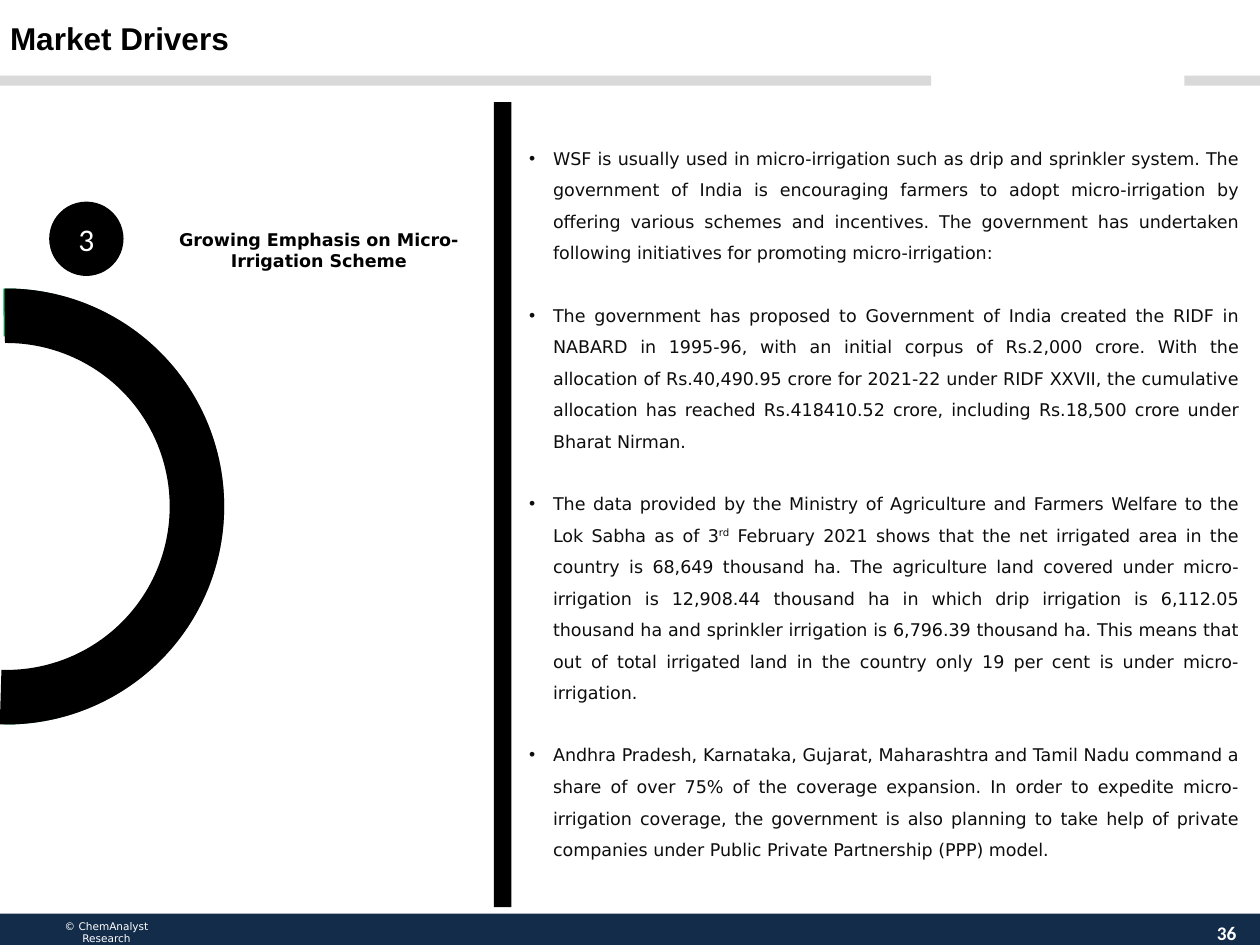
import pptx
import pptx.util
import pptx.dml.color
import pptx.enum.shapes
import pptx.enum.text
import lxml.etree

Shape = pptx.enum.shapes.MSO_SHAPE
Align = pptx.enum.text.PP_ALIGN
Anchor = pptx.enum.text.MSO_ANCHOR
BODY_FONT = "DejaVu Sans"
COLUMNS, ROWS = 100, 75

# Text between bars is raised
DRIVERS = [
    "WSF is usually used in micro-irrigation such as drip and sprinkler system. "
    "The government of India is encouraging farmers to adopt micro-irrigation by "
    "offering various schemes and incentives. The government has undertaken "
    "following initiatives for promoting micro-irrigation:",
    "The government has proposed to Government of India created the RIDF in "
    "NABARD in 1995-96, with an initial corpus of Rs.2,000 crore. With the "
    "allocation of Rs.40,490.95 crore for 2021-22 under RIDF XXVII, the "
    "cumulative allocation has reached Rs.418410.52 crore, including Rs.18,500 "
    "crore under Bharat Nirman.",
    "The data provided by the Ministry of Agriculture and Farmers Welfare to the "
    "Lok Sabha as of 3|rd| February 2021 shows that the net irrigated area in the "
    "country is 68,649 thousand ha. The agriculture land covered under "
    "micro-irrigation is 12,908.44 thousand ha in which drip irrigation is "
    "6,112.05 thousand ha and sprinkler irrigation is 6,796.39 thousand ha. This "
    "means that out of total irrigated land in the country only 19 per cent is "
    "under micro-irrigation.",
    "Andhra Pradesh, Karnataka, Gujarat, Maharashtra and Tamil Nadu command a "
    "share of over 75% of the coverage expansion. In order to expedite "
    "micro-irrigation coverage, the government is also planning to take help of "
    "private companies under Public Private Partnership (PPP) model.",
]


def color(value):
    return pptx.dml.color.RGBColor.from_string(value)


class SlideBuilder:
    """Places elements on a grid of 100 columns by 75 rows."""

    def __init__(self, presentation):
        self.column = presentation.slide_width / COLUMNS
        self.row = presentation.slide_height / ROWS
        self.slide = presentation.slides.add_slide(presentation.slide_layouts[5])

    def box(self, left, top, width, height):
        return (round(left * self.column), round(top * self.row),
                round(width * self.column), round(height * self.row))

    def style(self, paragraph, size, name, fill, bold=False, align=Align.CENTER):
        paragraph.alignment = align
        font = paragraph.font
        font.size, font.name, font.bold = pptx.util.Pt(size), name, bold
        font.color.rgb = color(fill)

    def set_text(self, shape, lines, inset=True, anchor=Anchor.MIDDLE, **style):
        frame = shape.text_frame
        frame.word_wrap = True
        frame.auto_size = pptx.enum.text.MSO_AUTO_SIZE.NONE
        frame.vertical_anchor = anchor
        if not inset:
            frame.margin_left = frame.margin_right = 0
            frame.margin_top = frame.margin_bottom = 0
        frame.text = "\n".join(lines)
        for paragraph in frame.paragraphs:
            self.style(paragraph, **style)

    def title(self, text, box, **style):
        shape = self.slide.shapes.title
        shape.left, shape.top, shape.width, shape.height = self.box(*box)
        self.set_text(shape, [text], inset=False, anchor=Anchor.TOP,
                      align=Align.LEFT, **style)

    def text(self, lines, box, **style):
        shape = self.slide.shapes.add_textbox(*self.box(*box))
        self.set_text(shape, lines, **style)
        return shape

    def shape(self, kind, box, fill, adjustments=()):
        shape = self.slide.shapes.add_shape(kind, *self.box(*box))
        shape.shadow.inherit = False
        shape.fill.solid()
        shape.fill.fore_color.rgb = color(fill)
        shape.line.fill.background()
        for index, value in enumerate(adjustments):
            shape.adjustments[index] = value
        return shape

    def bullets(self, items, box, size, name, fill):
        frame = self.text([], box, inset=False, anchor=Anchor.TOP,
                          size=size, name=name, fill=fill).text_frame
        indent = round(1.9 * self.column)
        for index, item in enumerate(items):
            paragraph = frame.add_paragraph() if index else frame.paragraphs[0]
            paragraph.line_spacing = 1.5
            if index:
                paragraph.space_before = pptx.util.Pt(17.5)
            properties = paragraph._p.get_or_add_pPr()
            properties.set("marL", str(indent))
            properties.set("indent", str(-indent))
            namespace = properties.nsmap["a"]
            for old in properties.findall(f"{{{namespace}}}defRPr"):
                properties.remove(old)
            bullet_font = lxml.etree.SubElement(properties, f"{{{namespace}}}buFont")
            bullet_font.set("typeface", "Arial")
            bullet = lxml.etree.SubElement(properties, f"{{{namespace}}}buChar")
            bullet.set("char", "•")
            for part, content in enumerate(item.split("|")):
                run = paragraph.add_run()
                run.text = content
                if part % 2:
                    run._r.get_or_add_rPr().set("baseline", "30000")
            self.style(paragraph, size, name, fill, align=Align.JUSTIFY)


def main():
    presentation = pptx.Presentation()
    presentation.slide_width = pptx.util.Inches(10)
    presentation.slide_height = pptx.util.Inches(7.5)
    builder = SlideBuilder(presentation)

    # Header rules and footer band
    for left, width in ((0, 73.9), (94, 6)):
        builder.shape(Shape.RECTANGLE, (left, 6, width, 0.8), "D9D9D9")
    builder.shape(Shape.RECTANGLE, (0, 72.5, 100, 2.5), "132C4A")
    builder.text(["© ChemAnalyst", "Research"], (5, 73, 6.9, 2.3), inset=False,
                 anchor=Anchor.TOP, size=6, name=BODY_FONT, fill="FFFFFF")

    # Title and drivers
    builder.title("Market Drivers", (0.8, 1.5, 86, 5),
                  size=18, name="Arial", fill="000000", bold=True)
    builder.bullets(DRIVERS, (42, 10.9, 56.3, 62), 10, BODY_FONT, "0D0D0D")

    # Layered half ring
    for left, fill, end, thickness in ((-16.8, "808080", 54.54, 0.12),
                                       (-16.9, "00B050", 54, 0.11),
                                       (-16.8, "000000", 55.01, 1 / 8)):
        builder.shape(Shape.BLOCK_ARC, (left, 22.9, 34.6, 34.6), fill,
                      (161.74, end, thickness))

    # Numbered heading
    builder.text(["Growing Emphasis on Micro-Irrigation Scheme"],
                 (10.1, 16.8, 30.4, 6.1),
                 size=10, name=BODY_FONT, fill="000000", bold=True)
    badge = builder.shape(Shape.OVAL, (3.9, 16, 5.9, 5.9), "000000")
    builder.set_text(badge, ["3"], size=18, name="Calibri", fill="FFFFFF")

    # Divider and page number
    builder.shape(Shape.RECTANGLE, (39.2, 8.1, 1.4, 63.9), "000000")
    builder.text(["36"], (94.9, 72, 4.9, 4),
                 size=11, name="Calibri", fill="FFFFFF", bold=True)

    presentation.save("out.pptx")


if __name__ == "__main__":
    main()
